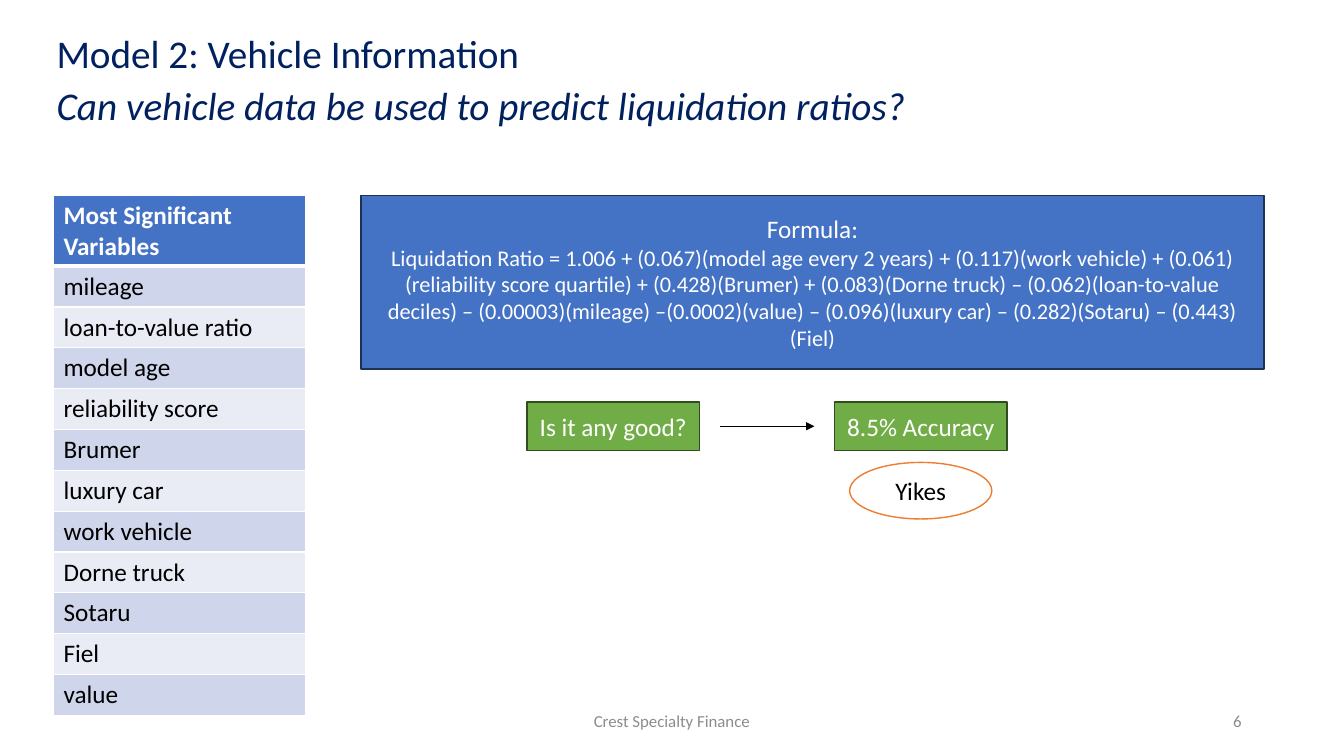
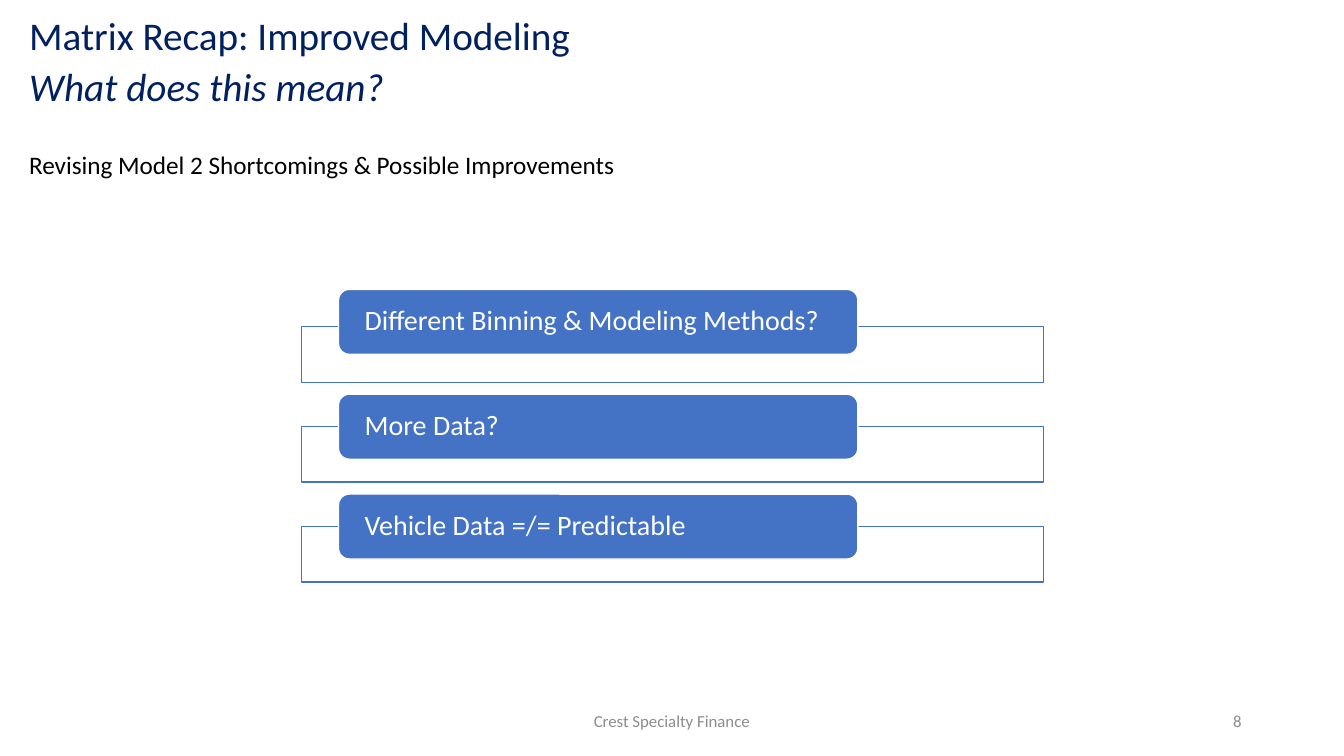
from dataclasses import dataclass

from lxml import etree
from pptx import Presentation
from pptx.dml.color import RGBColor
from pptx.enum import shapes, text
from pptx.oxml import ns
from pptx.util import Pt


@dataclass(frozen=True)
class Theme:
    font: str = "Calibri"
    navy: str = "002060"
    blue: str = "4472C4"
    blue_edge: str = "1E3256"
    green: str = "70AD47"
    green_edge: str = "314C1F"
    orange: str = "ED7D31"
    gray: str = "8C8C8C"
    black: str = "000000"
    white: str = "FFFFFF"
    stripes: tuple = ("CFD5EA", "E9EBF5")
    title_size: float = 28
    plate_size: float = 20
    body_size: float = 18
    formula_size: float = 16
    footer_size: float = 12


THEME = Theme()
SHAPE = shapes.MSO_SHAPE
ALIGN = text.PP_ALIGN
ANCHOR = text.MSO_ANCHOR
FOOTER = "Crest Specialty Finance"


# Shared helpers: every box is (left, top, width, height) in points
def points(*values):
    return [Pt(value) for value in values]


def rgb(code):
    return RGBColor.from_string(code)


def write(frame, words, size=THEME.body_size, color=THEME.black, bold=False,
          italic=False, align=ALIGN.LEFT, spacing=None, before=0, after=0):
    """Add one formatted paragraph, using the empty first one if there is one."""
    para = frame.paragraphs[0] if not frame.text else frame.add_paragraph()
    para.alignment = align
    para.line_spacing = spacing
    para.space_before, para.space_after = Pt(before), Pt(after)
    span = para.add_run()
    span.text = words
    font = span.font
    font.name, font.size = THEME.font, Pt(size)
    font.bold, font.italic = bold, italic
    font.color.rgb = rgb(color)


def add_panel(page, kind, box, fill, edge):
    panel = page.shapes.add_shape(kind, *points(*box))
    panel.shadow.inherit = False
    panel.fill.solid()
    panel.fill.fore_color.rgb = rgb(fill)
    panel.line.color.rgb = rgb(edge)
    panel.line.width = Pt(1)
    panel.text_frame.word_wrap = True
    panel.text_frame.vertical_anchor = ANCHOR.MIDDLE
    return panel


def add_label(page, box, words, wrap=True, anchor=ANCHOR.TOP, **style):
    frame = page.shapes.add_textbox(*points(*box)).text_frame
    frame.word_wrap = wrap
    frame.vertical_anchor = anchor
    write(frame, words, **style)


def add_arrow(page, start, end):
    arrow = page.shapes.add_connector(
        shapes.MSO_CONNECTOR.STRAIGHT, *points(*start, *end))
    arrow.line.color.rgb = rgb(THEME.black)
    arrow.line.width = Pt(0.5)
    properties = arrow.element.spPr
    line = properties.find(ns.qn("a:ln"))
    etree.SubElement(line, ns.qn("a:tailEnd"), type="triangle")
    etree.SubElement(properties, ns.qn("a:effectLst"))


# Page frame: title with an italic question, footer and page number
def add_page(deck, title_at, heading, question, number):
    page = deck.slides.add_slide(deck.slide_layouts.get_by_name("Title Only"))
    title = page.shapes.title
    title.left, title.top, title.width, title.height = points(
        *title_at, 933, 73.4)
    frame = title.text_frame
    frame.auto_size = text.MSO_AUTO_SIZE.NONE
    frame.word_wrap = True
    frame.vertical_anchor = ANCHOR.TOP
    for words, italic in ((heading, False), (question, True)):
        write(frame, words, size=THEME.title_size, color=THEME.navy,
              italic=italic, spacing=0.8, before=10)
    for left, width, words, align in ((318, 324, FOOTER, ALIGN.CENTER),
                                      (678, 216, str(number), ALIGN.RIGHT)):
        add_label(page, (left, 500.5, width, 28.8), words,
                  anchor=ANCHOR.MIDDLE, size=THEME.footer_size,
                  color=THEME.gray, align=align)
    return page


# Variable table
def set_borders(cell, top, bottom):
    properties = cell._tc.get_or_add_tcPr()
    for side, width in (("L", 1), ("R", 1), ("T", top), ("B", bottom)):
        line = etree.SubElement(properties, ns.qn(f"a:ln{side}"),
                                w=str(Pt(width)))
        fill = etree.SubElement(line, ns.qn("a:solidFill"))
        etree.SubElement(fill, ns.qn("a:srgbClr"), val=THEME.white)


def add_variables(page, box, header, names):
    header_height = 50.4
    row_height = (box[3] - header_height) / len(names)
    table = page.shapes.add_table(len(names) + 1, 1, *points(*box)).table
    for index, words in enumerate([header, *names]):
        is_header = index == 0
        table.rows[index].height = Pt(header_height if is_header else row_height)
        cell = table.cell(index, 0)
        set_borders(cell, top=3 if index == 1 else 1,
                    bottom=3 if is_header else 1)
        cell.fill.solid()
        cell.fill.fore_color.rgb = rgb(
            THEME.blue if is_header else THEME.stripes[(index - 1) % 2])
        write(cell.text_frame, words, bold=is_header,
              color=THEME.white if is_header else THEME.black)


# Formula panel
def add_formula(page, box, heading, formula):
    frame = add_panel(page, SHAPE.RECTANGLE, box, THEME.blue,
                      THEME.blue_edge).text_frame
    for words, size in ((heading, THEME.body_size),
                        (formula, THEME.formula_size)):
        write(frame, words, size=size, color=THEME.white, align=ALIGN.CENTER)


# Question, arrow, answer and the remark below the answer
def add_verdict(page, box, question, answer, remark):
    left, top, width, height = box
    card_width, gap = 123.2, 14.4
    answer_left = left + width - card_width
    for card_left, words in ((left, question), (answer_left, answer)):
        card = add_panel(page, SHAPE.RECTANGLE,
                         (card_left, top, card_width, height),
                         THEME.green, THEME.green_edge)
        write(card.text_frame, words, color=THEME.white, align=ALIGN.CENTER)
    middle = top + height / 2
    add_arrow(page, (left + card_width + gap, middle),
              (answer_left - gap, middle))
    oval_width = 101.6
    oval = add_panel(page, SHAPE.OVAL,
                     (answer_left + (card_width - oval_width) / 2,
                      top + height + 8.6, oval_width, 40.4),
                     THEME.white, THEME.orange)
    write(oval.text_frame, remark, align=ALIGN.CENTER)


# Stack of outlined bands, each with a rounded plate raised above its top edge
def add_bands(page, box, items):
    left, top, width, height = box
    band_height = 39.8
    pitch = (height - band_height) / (len(items) - 1)
    for index, (words, lift) in enumerate(items):
        band_top = top + index * pitch
        band = add_panel(page, SHAPE.RECTANGLE,
                         (left, band_top, width, band_height),
                         THEME.white, THEME.blue)
        color = band.element.spPr.find(ns.qn("a:solidFill"))[0]
        etree.SubElement(color, ns.qn("a:alpha"), val="90000")
        plate = add_panel(page, SHAPE.ROUNDED_RECTANGLE,
                          (left + 26.6, band_top - lift, width * 0.7, 46.4),
                          THEME.blue, THEME.white)
        frame = plate.text_frame
        frame.margin_left = frame.margin_right = Pt(16.4)
        frame.margin_top = frame.margin_bottom = Pt(2.2)
        write(frame, words, size=THEME.plate_size, color=THEME.white,
              spacing=0.9, after=7)


# Slides
def build_model(deck):
    page = add_page(deck, (33.2, 23.8), "Model 2: Vehicle Information",
                    "Can vehicle data be used to predict liquidation ratios?", 6)
    add_variables(page, (38.2, 139.7, 180, 371.5),
                  "Most Significant Variables",
                  ["mileage", "loan-to-value ratio", "model age",
                   "reliability score", "Brumer", "luxury car", "work vehicle",
                   "Dorne truck", "Sotaru", "Fiel", "value"])
    add_formula(page, (257.8, 139.7, 645.1, 123.8), "Formula:",
                "Liquidation Ratio = 1.006 + (0.067)(model age every 2 years) "
                "+ (0.117)(work vehicle) + (0.061)(reliability score quartile) "
                "+ (0.428)(Brumer) + (0.083)(Dorne truck) – "
                "(0.062)(loan-to-value deciles) – (0.00003)(mileage) "
                "–(0.0002)(value) – (0.096)(luxury car) – (0.282)(Sotaru) "
                "– (0.443)(Fiel)")
    add_verdict(page, (376.4, 287.3, 342.9, 34.4),
                "Is it any good?", "8.5% Accuracy", "Yikes")


def build_recap(deck):
    page = add_page(deck, (13.7, 10.8), "Matrix Recap: Improved Modeling",
                    "What does this mean?", 8)
    add_label(page, (13.7, 103, 437, 29),
              "Revising Model 2 Shortcomings & Possible Improvements", wrap=False)
    add_bands(page, (215.2, 233.3, 530, 182.4),
              [("Different Binning & Modeling Methods?", 26.6),
               ("More Data?", 23),
               ("Vehicle Data =/= Predictable", 23)])


def main():
    deck = Presentation()
    deck.slide_width, deck.slide_height = points(960, 540)
    build_model(deck)
    build_recap(deck)
    deck.save("out.pptx")


main()
